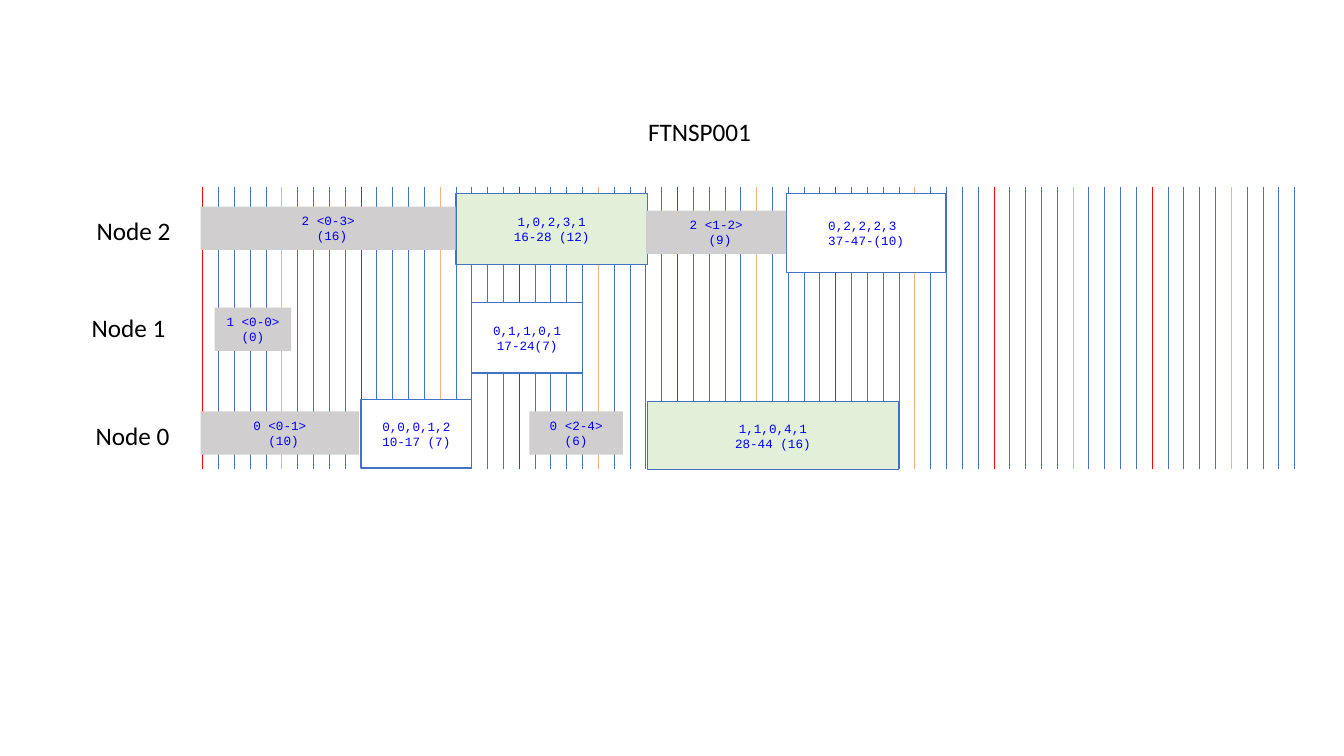
from typing import NamedTuple

from lxml import etree
from pptx import Presentation
from pptx import util as u
from pptx.dml.color import RGBColor
from pptx.enum import shapes, text
from pptx.oxml import ns

COLORS = {
    "tick": "4472C4", "ten": "FF0000", "five": "F4B183", "white": "FFFFFF",
    "green": "E2F0D9", "grey": "D0CECE", "code": "0000FF", "black": "000000",
}
TICKS = 70
ROWS = 10

TASKS = [
    (10, 7.53, 7, 2.44, "white", "0,0,0,1,2\n10-17 (7)"),
    (17, 4.09, 7, 2.51, "white", "0,1,1,0,1\n17-24(7)"),
    (36.89, 0.22, 10.06, 2.8, "white", "0,2,2,2,3 \n37-47-(10)"),
    (28.1, 7.6, 15.86, 2.44, "green", "1,1,0,4,1\n28-44 (16)"),
    (16, 0.22, 12.1, 2.51, "green", "1,0,2,3,1\n16-28 (12)"),
    (20.64, 7.96, 5.92, 1.54, "grey", "0 <2-4>\n(6)"),
    (28.03, 0.82, 8.85, 1.54, "grey", "2 <1-2>\n (9)"),
    (-0.13, 7.96, 10, 1.54, "grey", "0 <0-1>\n (10)"),
    (-0.13, 0.68, 16.12, 1.54, "grey", "2 <0-3>\n (16)"),
    (0.76, 4.27, 4.84, 1.54, "grey", "1 <0-0> (0)"),
]
LABELS = [
    (27.52, -2.72, 8.6, 1.43, "FTNSP001"),
    (-7.39, 8.1, 6.18, 1.43, "Node 0"),
    (-7.64, 4.27, 6.18, 1.43, "Node 1"),
    (-7.32, 0.82, 6.18, 1.43, "Node 2"),
]


class Box(NamedTuple):
    """A rectangle in inches, divided into time columns and rows."""
    left: float
    top: float
    width: float
    height: float

    def cell(self, column, row, columns, rows):
        """Return the lengths of an area of the grid."""
        step = self.width / (TICKS - 1)
        rise = self.height / ROWS
        return (u.Inches(self.left + column * step), u.Inches(self.top + row * rise),
                u.Inches(columns * step), u.Inches(rows * rise))


def color(name):
    """Return a named colour."""
    return RGBColor.from_string(COLORS[name])


def write(shape, words, *, font, size, tint, align, anchor, wrap):
    """Write lines of text into a shape."""
    frame = shape.text_frame
    frame.word_wrap = wrap
    frame.vertical_anchor = anchor
    for index, line in enumerate(words.split("\n")):
        para = frame.add_paragraph() if index else frame.paragraphs[0]
        para.alignment = align
        span = para.add_run()
        span.text = line
        span.font.name = font
        span.font.size = u.Pt(size)
        span.font.color.rgb = color(tint)


def draw_ticks(page, box):
    """Draw the vertical time lines, marking every fifth and tenth."""
    group = page.shapes.add_group_shape()
    for tick in range(TICKS):
        left, top, _, height = box.cell(tick, 0, 0, ROWS)
        line = group.shapes.add_connector(
            shapes.MSO_CONNECTOR.STRAIGHT, left, top, left, top + height)
        name = "ten" if tick % 10 == 0 else "five" if tick % 5 == 0 else "tick"
        line.line.color.rgb = color(name)
        line.line.width = u.Pt(0.5)
        etree.SubElement(line._element.spPr, ns.qn("a:effectLst"))


def draw_tasks(page, box):
    """Draw the task bars on the time grid."""
    for *area, fill, words in TASKS:
        bar = page.shapes.add_shape(shapes.MSO_SHAPE.RECTANGLE, *box.cell(*area))
        bar.shadow.inherit = False
        bar.fill.solid()
        bar.fill.fore_color.rgb = color(fill)
        if fill == "grey":
            bar.line.fill.background()
        else:
            bar.line.color.rgb = color("tick")
            bar.line.width = u.Pt(1)
        write(bar, words, font="Courier New", size=9, tint="code", wrap=True,
              align=text.PP_ALIGN.CENTER, anchor=text.MSO_ANCHOR.MIDDLE)


def draw_labels(page, box):
    """Place the title and the node names around the time grid."""
    for *area, words in LABELS:
        label = page.shapes.add_textbox(*box.cell(*area))
        write(label, words, font="Calibri", size=18, tint="black", wrap=False,
              align=text.PP_ALIGN.LEFT, anchor=text.MSO_ANCHOR.TOP)
        label.text_frame.auto_size = text.MSO_AUTO_SIZE.SHAPE_TO_FIT_TEXT


def main():
    """Build and save the schedule slide."""
    deck = Presentation()
    deck.slide_width, deck.slide_height = u.Inches(13.33), u.Inches(7.5)
    page = deck.slides.add_slide(deck.slide_layouts[6])
    schedule = Box(2.01, 1.86, 10.83, 2.79)
    draw_ticks(page, schedule)
    draw_tasks(page, schedule)
    draw_labels(page, schedule)
    deck.save("out.pptx")


if __name__ == "__main__":
    main()
